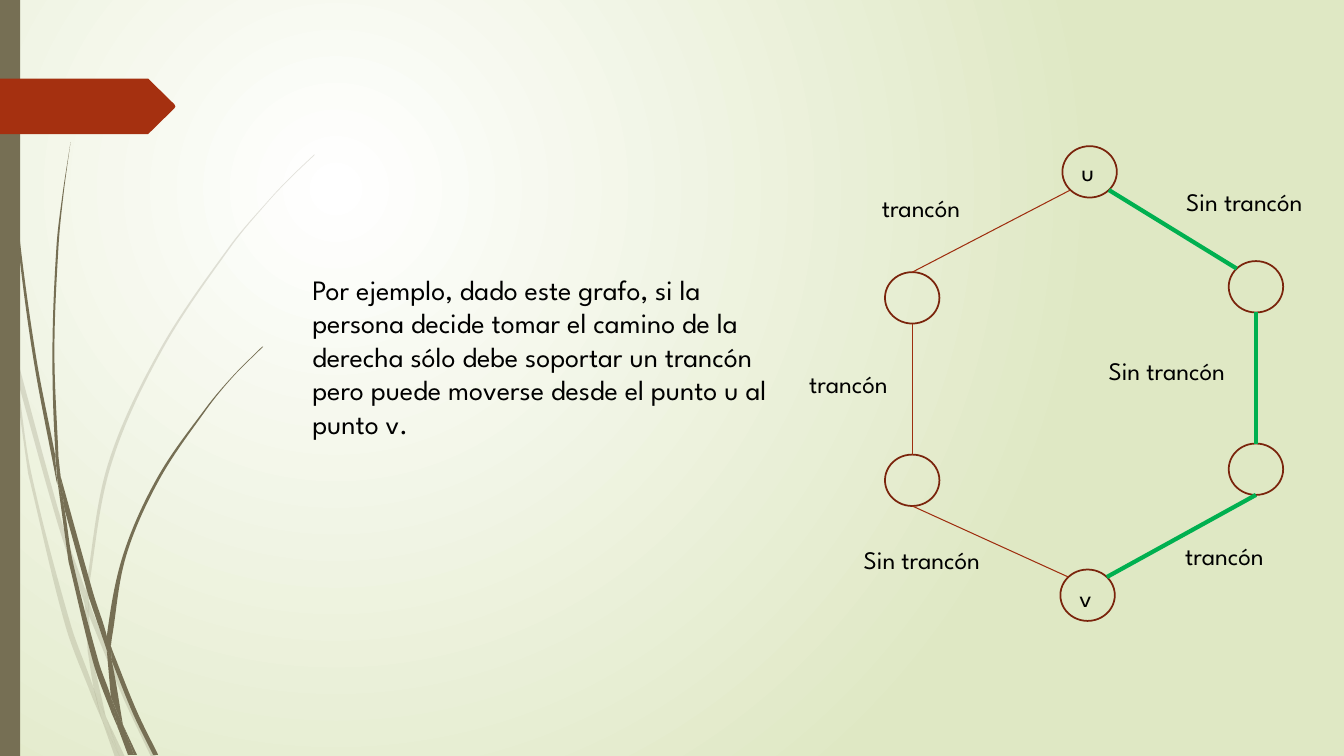
from math import dist, sqrt

from pptx import Presentation
from pptx.dml.color import RGBColor
from pptx.enum.shapes import MSO_CONNECTOR as CONNECTOR, MSO_SHAPE as SHAPE
from pptx.oxml import parse_xml
from pptx.oxml.ns import nsdecls, qn
from pptx.util import Emu, Pt

PX = 9144  # 100 px to the inch
HEIGHT = 750
WIDTH = HEIGHT * 16 / 9
OLIVE, RUST, GREEN = "766F54", "A53010", "00B050"
NODE_LINE, EDGE_LINE = "7A240C", "9E2E0F"
FONT = {"name": "League Spartan"}

# Grass pieces: one edge going down, then the other coming back up
PALE_GRASS = [
    ([(0, 282), (9, 322), (11, 350)], [(10, 344), (0, 299)]),
    ([(14, 345), (62, 520), (85, 586)], [(84, 599), (58, 522), (17, 376)]),
    ([(88, 596), (92, 607), (127, 692), (155, 751)], [(150, 751), (123, 694), (88, 610)]),
    ([(105, 711), (124, 751)], [(119, 751)]),
    ([(11, 350), (17, 376), (31, 469), (70, 619), (93, 683), (101, 714)],
     [(92, 693), (65, 621), (28, 470)]),
    ([(84, 599), (88, 610), (91, 646), (105, 711)], [(96, 692), (93, 683), (87, 646)]),
    ([(312, 153), (289, 175), (268, 197), (228, 244), (158, 348), (107, 461), (85, 584),
      (85, 586)],
     [(88, 596), (88, 584), (110, 462), (160, 349), (229, 245), (268, 198), (290, 175),
      (312, 154)]),
    ([(101, 714), (119, 751)], [(114, 751)]),
    ([(85, 586), (88, 596), (88, 610)], [(84, 599)]),
    ([(93, 683), (96, 692), (105, 711), (119, 751)], [(101, 714), (99, 707)]),
]
DARK_GRASS = [
    ([(3, 0), (5, 48), (7, 110), (17, 233), (33, 355), (56, 477), (57, 481)],
     [(55, 457), (55, 453), (36, 355), (19, 232), (8, 109), (5, 48), (4, 0)]),
    ([(60, 472), (93, 590), (106, 631), (106, 645)], [(88, 592), (64, 505)]),
    ([(110, 641), (113, 649), (136, 706), (157, 749)], [(152, 749), (132, 708), (111, 656)]),
    ([(57, 477), (64, 505), (72, 556), (98, 657), (110, 691), (117, 722)],
     [(111, 708), (93, 659), (68, 557)]),
    ([(70, 141), (62, 193), (56, 245), (52, 349), (55, 449), (60, 472)],
     [(58, 453), (54, 349), (58, 245), (63, 193), (70, 141)]),
    ([(122, 719), (136, 749)], [(133, 749)]),
    ([(55, 449), (60, 472), (64, 505)], [(57, 477), (55, 453)]),
    ([(260, 344), (231, 373), (204, 405), (156, 474), (122, 551), (106, 631), (110, 641)],
     [(111, 633), (125, 552), (158, 476), (205, 406), (231, 374), (261, 344)]),
    ([(117, 722), (131, 749)], [(127, 749)]),
    ([(106, 645), (111, 656), (122, 719)], [(116, 706), (110, 691)]),
    ([(106, 631), (110, 641), (111, 656)], [(106, 645)]),
    ([(110, 691), (116, 706), (122, 719), (133, 749)], [(130, 749), (117, 722)]),
]

# Graph: places are relative to the graph's box
NODE_WIDTH, NODE_HEIGHT = 54, 51
NODES = {
    "u": (176, 0), "upper left": (0, 125), "upper right": (341, 114),
    "lower left": (0, 306), "lower right": (341, 295), "v": (174, 420),
}
TOP, BOTTOM = (0, -1), (0, 1)
UP_LEFT, UP_RIGHT, DOWN_LEFT, DOWN_RIGHT = (-1, -1), (1, -1), (-1, 1), (1, 1)
JAMMED = {"color": EDGE_LINE, "width": 0.75}
ROUTE = {"color": GREEN, "width": 3}
EDGES = [
    ("u", DOWN_LEFT, "upper left", TOP, JAMMED),
    ("upper left", BOTTOM, "lower left", TOP, JAMMED),
    ("v", UP_LEFT, "lower left", BOTTOM, JAMMED),
    ("u", DOWN_RIGHT, "upper right", UP_LEFT, ROUTE),
    ("upper right", BOTTOM, "lower right", TOP, ROUTE),
    ("v", UP_RIGHT, "lower right", BOTTOM, ROUTE),
]
LABELS = [
    ("u", 185, 5, 28), ("v", 183, 428, 28),
    ("trancón", -13, 41, 124), ("trancón", -85, 215, 124), ("trancón", 288, 386, 124),
    ("Sin trancón", -31, 390, 163), ("Sin trancón", 289, 35, 163),
    ("Sin trancón", 212, 203, 163),
]


def px(*lengths):
    return [Emu(round(length * PX)) for length in lengths]


def rgb(color):
    return RGBColor.from_string(color)


def fill_shape(shape, color, alpha=100):
    shape.shadow.inherit = False
    shape.fill.solid()
    shape.fill.fore_color.rgb = rgb(color)
    shape.line.fill.background()
    if alpha < 100:
        srgb = shape._element.spPr.find(qn("a:solidFill"))[0]
        srgb.append(parse_xml(f'<a:alpha {nsdecls("a")} val="{alpha * 1000}"/>'))


def draw_line(line, color, width):
    line.color.rgb = rgb(color)
    line.width = Pt(width)


def add_text(slide, text, left, top, width, height, size):
    frame = slide.shapes.add_textbox(*px(left, top, width, height)).text_frame
    frame.word_wrap = True
    run = frame.paragraphs[0].add_run()
    run.text = text
    for name, value in {**FONT, "size": Pt(size)}.items():
        setattr(run.font, name, value)
    run.font.color.rgb = rgb("000000")


def add_outline(slide, points, color, alpha=100):
    start, *others = [px(*point) for point in points]
    builder = slide.shapes.build_freeform(*start)
    builder.add_line_segments(others, close=True)
    shape = builder.convert_to_shape()
    fill_shape(shape, color, alpha)
    return shape


def curve_controls(edge):
    """Two control points for each step of a smooth edge."""
    padded = [edge[0], *edge, edge[-1]]
    for a, b, c, d in zip(padded, padded[1:], padded[2:], padded[3:]):
        out, back = dist(b, c) / dist(a, c) / 3, dist(b, c) / dist(b, d) / 3
        yield ([q + (r - p) * out for p, q, r in zip(a, b, c)],
               [r - (s - q) * back for q, r, s in zip(b, c, d)])


def add_grass_piece(slide, down, up, alpha):
    shape = add_outline(slide, down + up, OLIVE, alpha)
    steps = list(shape._element.iter(qn("a:lnTo")))
    joined = [*curve_controls(down), None, *curve_controls(up)]
    for step, controls in zip(steps, joined):
        if controls:
            step.tag = qn("a:cubicBezTo")
            for index, control in enumerate(controls):
                x, y = px(*control)
                step.insert(index, parse_xml(
                    f'<a:pt {nsdecls("a")} x="{x - shape.left}" y="{y - shape.top}"/>'))


def set_background(slide):
    slide._element.cSld.insert(0, parse_xml(
        f'<p:bg {nsdecls("p", "a")}><p:bgPr><a:gradFill rotWithShape="1"><a:gsLst>'
        '<a:gs pos="0"><a:srgbClr val="FFFFFF"/></a:gs>'
        '<a:gs pos="100000"><a:srgbClr val="DFE8C4"/></a:gs></a:gsLst>'
        '<a:path path="circle"><a:fillToRect l="50000" t="50000" r="100000" b="100000"/>'
        '</a:path></a:gradFill><a:effectLst/></p:bgPr></p:bg>'))


def add_decoration(slide, bar_width, tag_top, tag_width, tag_height):
    # Grass
    for pieces, alpha in ((PALE_GRASS, 20), (DARK_GRASS, 100)):
        for down, up in pieces:
            add_grass_piece(slide, down, up, alpha)
    # Side bar
    bar = slide.shapes.add_shape(SHAPE.RECTANGLE, *px(0, 0, bar_width, HEIGHT))
    fill_shape(bar, OLIVE)
    # Arrow tag
    middle, bottom = tag_top + tag_height / 2, tag_top + tag_height
    shoulder = tag_width - 27
    add_outline(slide, [(0, tag_top), (shoulder, tag_top), (tag_width - 1, middle - 2),
                        (tag_width, middle), (tag_width - 1, middle + 2),
                        (shoulder, bottom), (0, bottom)], RUST)


def rim_point(left, top, node, direction):
    x, y = NODES[node]
    dx, dy = direction
    reach = 1 / sqrt(dx**2 + dy**2)
    return (left + x + NODE_WIDTH / 2 * (1 + dx * reach),
            top + y + NODE_HEIGHT / 2 * (1 + dy * reach))


def add_graph(slide, left, top):
    # Nodes
    for x, y in NODES.values():
        node = slide.shapes.add_shape(
            SHAPE.OVAL, *px(left + x, top + y, NODE_WIDTH, NODE_HEIGHT))
        node.shadow.inherit = False
        node.fill.background()
        draw_line(node.line, NODE_LINE, 1.25)
    # Edges
    for first, leaving, second, entering, style in EDGES:
        begin = rim_point(left, top, first, leaving)
        end = rim_point(left, top, second, entering)
        edge = slide.shapes.add_connector(CONNECTOR.STRAIGHT, *px(*begin, *end))
        draw_line(edge.line, **style)
        edge._element.spPr.append(parse_xml(f'<a:effectLst {nsdecls("a")}/>'))
    # Labels
    for text, x, y, width in LABELS:
        add_text(slide, text, left + x, top + y, width, 40, 18)


def main():
    presentation = Presentation()
    presentation.slide_width, presentation.slide_height = px(WIDTH, HEIGHT)
    slide = presentation.slides.add_slide(presentation.slide_layouts[6])
    set_background(slide)
    add_decoration(slide, 20, 78, 174, 55)
    add_graph(slide, 878, 145)
    add_text(slide, "Por ejemplo, dado este grafo, si la persona decide tomar el camino de la "
             "derecha sólo debe soportar un trancón pero puede moverse desde el punto u al "
             "punto v.", 300, 265, 481, 178, 20)
    presentation.save("out.pptx")


if __name__ == "__main__":
    main()
